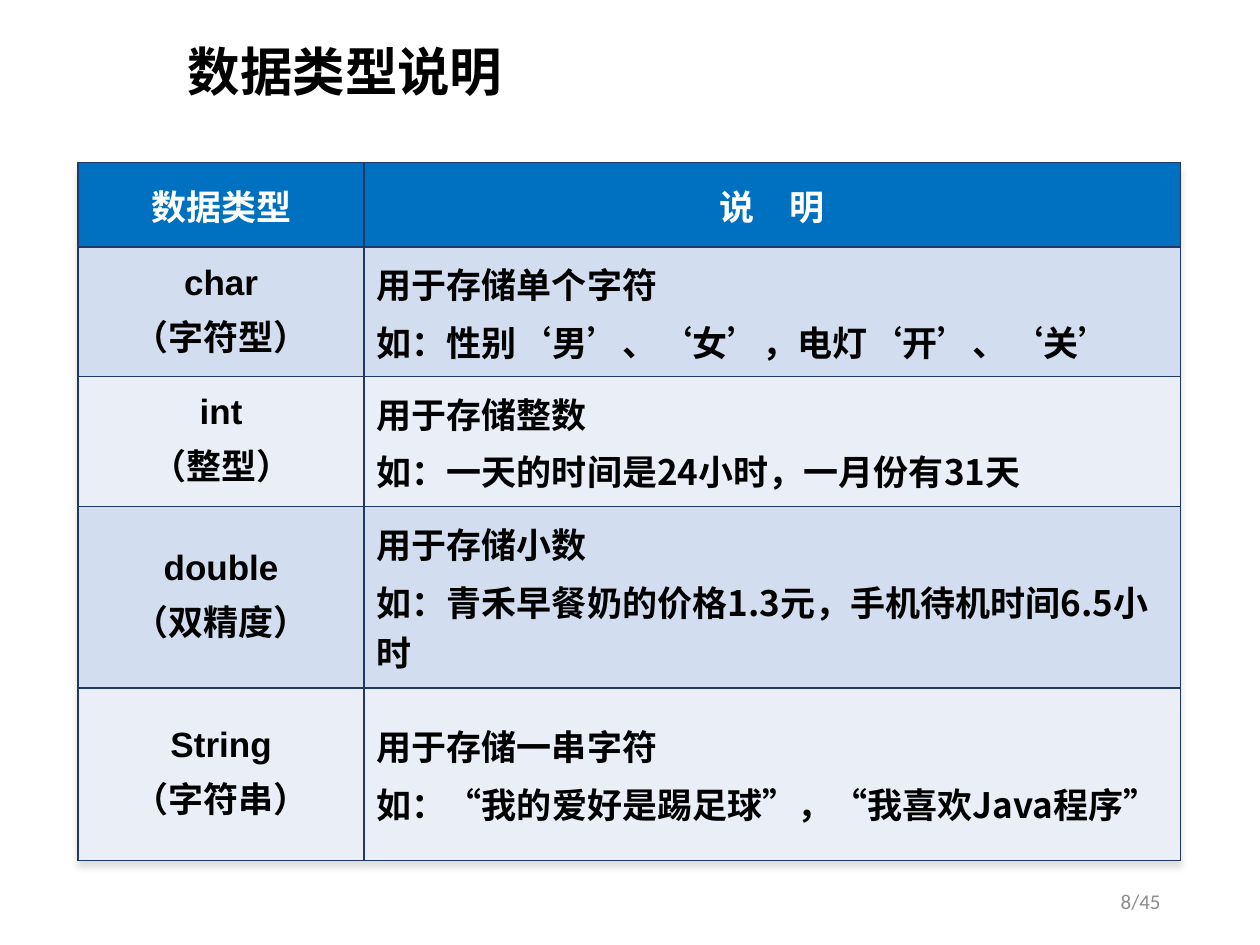
from dataclasses import dataclass
from itertools import groupby

from lxml.etree import SubElement
from pptx import Presentation
from pptx.dml.color import RGBColor
from pptx.enum.text import MSO_ANCHOR, PP_ALIGN
from pptx.oxml import parse_xml
from pptx.oxml.ns import nsdecls, qn
from pptx.util import Inches, Pt


@dataclass(frozen=True)
class Theme:
    chinese: str = "Noto Sans CJK SC"
    latin: str = "Arial"
    footer: str = "Calibri"
    black: str = "000000"
    white: str = "FFFFFF"
    gray: str = "8C8C8C"
    header: str = "0070C0"
    bands: tuple[str, str] = ("D2DEEF", "EAEFF7")
    border: str = "203864"
    title_size: int = 30
    table_size: int = 20
    footer_size: int = 12


@dataclass(frozen=True)
class DataType:
    name: str
    label: str
    purpose: str
    example: str
    height: float = 1.03


THEME = Theme()
QUOTES = "‘’“”"
COLUMN_WIDTHS = (2.27, 6.48)
HEADER_HEIGHT = 0.67
HEADINGS = ("数据类型", "说　明")
DATA_TYPES = (
    DataType("char", "（字符型）", "用于存储单个字符", "如：性别‘男’、‘女’，电灯‘开’、‘关’"),
    DataType("int", "（整型）", "用于存储整数", "如：一天的时间是24小时，一月份有31天"),
    DataType("double", "（双精度）", "用于存储小数",
             "如：青禾早餐奶的价格1.3元，手机待机时间6.5小时", 1.44),
    DataType("String", "（字符串）", "用于存储一串字符",
             "如：“我的爱好是踢足球”，“我喜欢Java程序”", 1.37),
)


def add_run(paragraph, text: str, font: str, size: int, color: str, bold: bool = True) -> None:
    run = paragraph.add_run()
    run.text = text
    run.font.name = font
    run.font.size = Pt(size)
    run.font.bold = bold
    run.font.color.rgb = RGBColor.from_string(color)
    SubElement(run.font._element, qn("a:ea")).set("typeface", THEME.chinese)


def add_text(slide, left: float, top: float, width: float, height: float):
    frame = slide.shapes.add_textbox(
        Inches(left), Inches(top), Inches(width), Inches(height)).text_frame
    frame.word_wrap = True
    frame.vertical_anchor = MSO_ANCHOR.MIDDLE
    return frame.paragraphs[0]


def add_borders(cell) -> None:
    properties = cell._tc.get_or_add_tcPr()
    for index, side in enumerate(("lnL", "lnR", "lnT", "lnB")):
        properties.insert(index, parse_xml(
            f'<a:{side} {nsdecls("a")} w="{Pt(1)}"><a:solidFill>'
            f'<a:srgbClr val="{THEME.border}"/></a:solidFill></a:{side}>'))


def fill_cell(cell, lines: tuple[str, ...], fill: str, color: str,
              font: str, alignment: PP_ALIGN) -> None:
    cell.fill.solid()
    cell.fill.fore_color.rgb = RGBColor.from_string(fill)
    cell.vertical_anchor = MSO_ANCHOR.MIDDLE
    add_borders(cell)
    frame = cell.text_frame
    for index, line in enumerate(lines):
        paragraph = frame.add_paragraph() if index else frame.paragraphs[0]
        paragraph.alignment = alignment
        paragraph.space_before = Pt(4)
        # Quotation marks take the Latin font
        for quoted, characters in groupby(line, key=lambda character: character in QUOTES):
            add_run(paragraph, "".join(characters), THEME.latin if quoted else font,
                    THEME.table_size, color)


def add_type_table(slide) -> None:
    heights = (HEADER_HEIGHT, *(data_type.height for data_type in DATA_TYPES))
    table = slide.shapes.add_table(
        len(heights), len(COLUMN_WIDTHS), Inches(0.62), Inches(1.29),
        Inches(sum(COLUMN_WIDTHS)), Inches(sum(heights))).table
    for column, width in zip(table.columns, COLUMN_WIDTHS):
        column.width = Inches(width)
    for row, height in zip(table.rows, heights):
        row.height = Inches(height)

    # Soft shadow below the table
    table._tbl.tblPr.insert(0, parse_xml(
        f'<a:effectLst {nsdecls("a")}><a:outerShdw blurRad="{Pt(4)}" dist="{Pt(4)}" '
        'dir="5400000"><a:srgbClr val="000000"><a:alpha val="12000"/></a:srgbClr>'
        '</a:outerShdw></a:effectLst>'))

    # Header row
    for column, heading in enumerate(HEADINGS):
        fill_cell(table.cell(0, column), (heading,), THEME.header, THEME.white,
                  THEME.chinese, PP_ALIGN.CENTER)

    # Banded body rows
    for index, data_type in enumerate(DATA_TYPES):
        band = THEME.bands[index % 2]
        fill_cell(table.cell(index + 1, 0), (data_type.name, data_type.label), band,
                  THEME.black, THEME.latin, PP_ALIGN.CENTER)
        fill_cell(table.cell(index + 1, 1), (data_type.purpose, data_type.example), band,
                  THEME.black, THEME.chinese, PP_ALIGN.LEFT)


def main() -> None:
    presentation = Presentation()
    presentation.slide_width = Inches(10)
    presentation.slide_height = Inches(7.5)
    slide = presentation.slides.add_slide(presentation.slide_layouts[6])

    # Title
    title = add_text(slide, 1.39, 0.31, 8.42, 0.57)
    title.line_spacing = 0.9
    add_run(title, "数据类型说明", THEME.chinese, THEME.title_size, THEME.black)

    add_type_table(slide)

    # Page number
    page_number = add_text(slide, 7.06, 6.95, 2.25, 0.4)
    page_number.alignment = PP_ALIGN.RIGHT
    add_run(page_number, "8/45", THEME.footer, THEME.footer_size, THEME.gray, bold=False)

    presentation.save("out.pptx")


if __name__ == "__main__":
    main()
